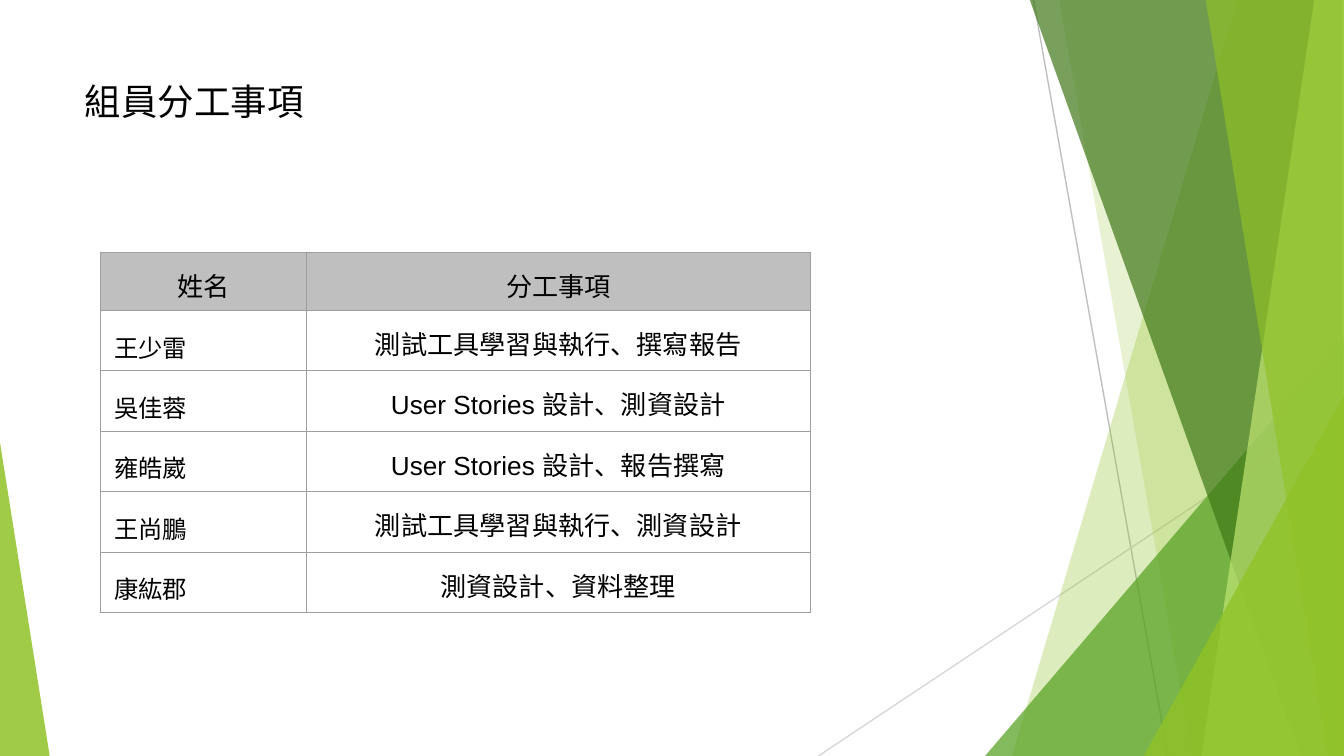
from lxml import etree
from pptx import Presentation
from pptx.dml.color import RGBColor
from pptx.enum.shapes import MSO_CONNECTOR, MSO_SHAPE
from pptx.enum.text import MSO_ANCHOR, PP_ALIGN
from pptx.oxml.ns import qn
from pptx.util import Inches, Pt

STRAIGHT = MSO_CONNECTOR.STRAIGHT
TRIANGLE = MSO_SHAPE.ISOSCELES_TRIANGLE
LEFT, CENTER = PP_ALIGN.LEFT, PP_ALIGN.CENTER
TOP = MSO_ANCHOR.TOP

THEME = {
    "font": "Arial",
    "text": "000000",
    "header": "BFBFBF",
    "border": "9E9E9E",
    "hairline": 0.75,
    "title_size": 19.5,
    "task_size": 14,
    "member_size": 13,
    "lime": "90C226",
    "green": "54A021",
    "forest": "3F7818",
    "pale": "BFE471",
    "ray_dark": "BFBFBF",
    "ray_light": "D8D8D8",
}

prs = Presentation()
prs.slide_width, prs.slide_height = Inches(10), Inches(5.625)
# One column is 1% of the slide's width, one row 1% of its height.
COL, ROW = prs.slide_width / 100, prs.slide_height / 100
slide = prs.slides.add_slide(prs.slide_layouts[6])
shapes = slide.shapes


def write(frame, text, *, size, align=LEFT, spacing=None):
    paragraph = frame.paragraphs[0]
    paragraph.alignment = align
    if spacing:
        paragraph.line_spacing = spacing
    run = paragraph.add_run()
    run.text = text
    run.font.size = Pt(size)
    run.font.name = THEME["font"]
    run.font.color.rgb = RGBColor.from_string(THEME["text"])


# Thin rays behind the facets: start column, start row, end column, end row
rays = [
    (76.9, 0, 86.9, 100, "ray_dark"),
    (100, 53.7, 60.9, 100, "ray_light"),
]
for x1, y1, x2, y2, tone in rays:
    ray = shapes.add_connector(
        STRAIGHT, int(x1 * COL), int(y1 * ROW), int(x2 * COL), int(y2 * ROW))
    ray.line.color.rgb = RGBColor.from_string(THEME[tone])
    ray.line.width = Pt(THEME["hairline"])
    etree.SubElement(ray._element.spPr, qn("a:effectLst"))

# Facets from back to front, each with its colour and opacity in percent.
# Band: columns of top left, top right, bottom right, bottom left.
# Wedge: left column, top row, width, apex position; it stands on the bottom edge.
facets = [
    ("band", (92.1, 100, 100, 75.3), "lime", 30),
    ("band", (78.8, 100, 100, 88.7), "lime", 20),
    ("wedge", (73.3, 44.5, 26.7, 1), "green", 72),
    ("band", (76.6, 99.9, 99.9, 96.8), "forest", 70),
    ("band", (97.8, 100, 100, 89.4), "pale", 70),
    ("band", (89.7, 100, 100, 98.8), "lime", 65),
    ("wedge", (85.1, 52.3, 14.9, 1), "lime", 80),
    ("wedge", (0, 58.5, 3.7, 0), "lime", 85),
]
BAND_ROWS = (-0.15, -0.15, 100, 100)
for kind, geometry, tone, opacity in facets:
    if kind == "band":
        corners = [(int(x * COL), int(y * ROW)) for x, y in zip(geometry, BAND_ROWS)]
        outline = shapes.build_freeform(*corners[0])
        outline.add_line_segments(corners[1:], close=True)
        facet = outline.convert_to_shape()
    else:
        left, top, width, apex = geometry
        facet = shapes.add_shape(
            TRIANGLE, int(left * COL), int(top * ROW),
            int(width * COL), int((100 - top) * ROW))
        facet.adjustments[0] = apex
    facet.shadow.inherit = False
    facet.line.fill.background()
    facet.fill.solid()
    facet.fill.fore_color.rgb = RGBColor.from_string(THEME[tone])
    colour = facet._element.spPr.find(qn("a:solidFill"))[0]
    etree.SubElement(colour, qn("a:alpha"), val=str(opacity * 1000))

title = shapes.add_textbox(
    int(5.6 * COL), int(8.9 * ROW), int(70.5 * COL), int(19.2 * ROW)).text_frame
title.word_wrap = True
title.vertical_anchor = TOP
title.margin_left = title.margin_right = int(0.7 * COL)
title.margin_top = title.margin_bottom = int(0.7 * ROW)
write(title, "組員分工事項", size=THEME["title_size"], spacing=1.15)

assignments = [
    ("姓名", "分工事項"),
    ("王少雷", "測試工具學習與執行、撰寫報告"),
    ("吳佳蓉", "User Stories 設計、測資設計"),
    ("雍皓崴", "User Stories 設計、報告撰寫"),
    ("王尚鵬", "測試工具學習與執行、測資設計"),
    ("康紘郡", "測資設計、資料整理"),
]
column_widths = (15.3, 37.5)
row_height = 7.5
duties = shapes.add_table(
    len(assignments), len(column_widths), int(7.5 * COL), int(33.35 * ROW),
    int(sum(column_widths) * COL), int(len(assignments) * row_height * ROW)).table
duties.first_row = duties.horz_banding = False
for column, width in zip(duties.columns, column_widths):
    column.width = int(width * COL)

for r, assignment in enumerate(assignments):
    duties.rows[r].height = int(row_height * ROW)
    for c, text in enumerate(assignment):
        cell = duties.cell(r, c)
        cell.margin_left = cell.margin_right = int(COL)
        cell.margin_top = cell.margin_bottom = int(COL)
        cell.vertical_anchor = TOP
        properties = cell._tc.get_or_add_tcPr()
        for side in ("lnL", "lnR", "lnT", "lnB"):
            border = etree.SubElement(
                properties, qn(f"a:{side}"), w=str(Pt(THEME["hairline"])))
            border_fill = etree.SubElement(border, qn("a:solidFill"))
            etree.SubElement(border_fill, qn("a:srgbClr"), val=THEME["border"])
        if r == 0:
            cell.fill.solid()
            cell.fill.fore_color.rgb = RGBColor.from_string(THEME["header"])
        else:
            cell.fill.background()
        if r > 0 and c == 0:
            write(cell.text_frame, text, size=THEME["member_size"], spacing=1.15)
        else:
            write(cell.text_frame, text, size=THEME["task_size"], align=CENTER)

prs.save("out.pptx")
